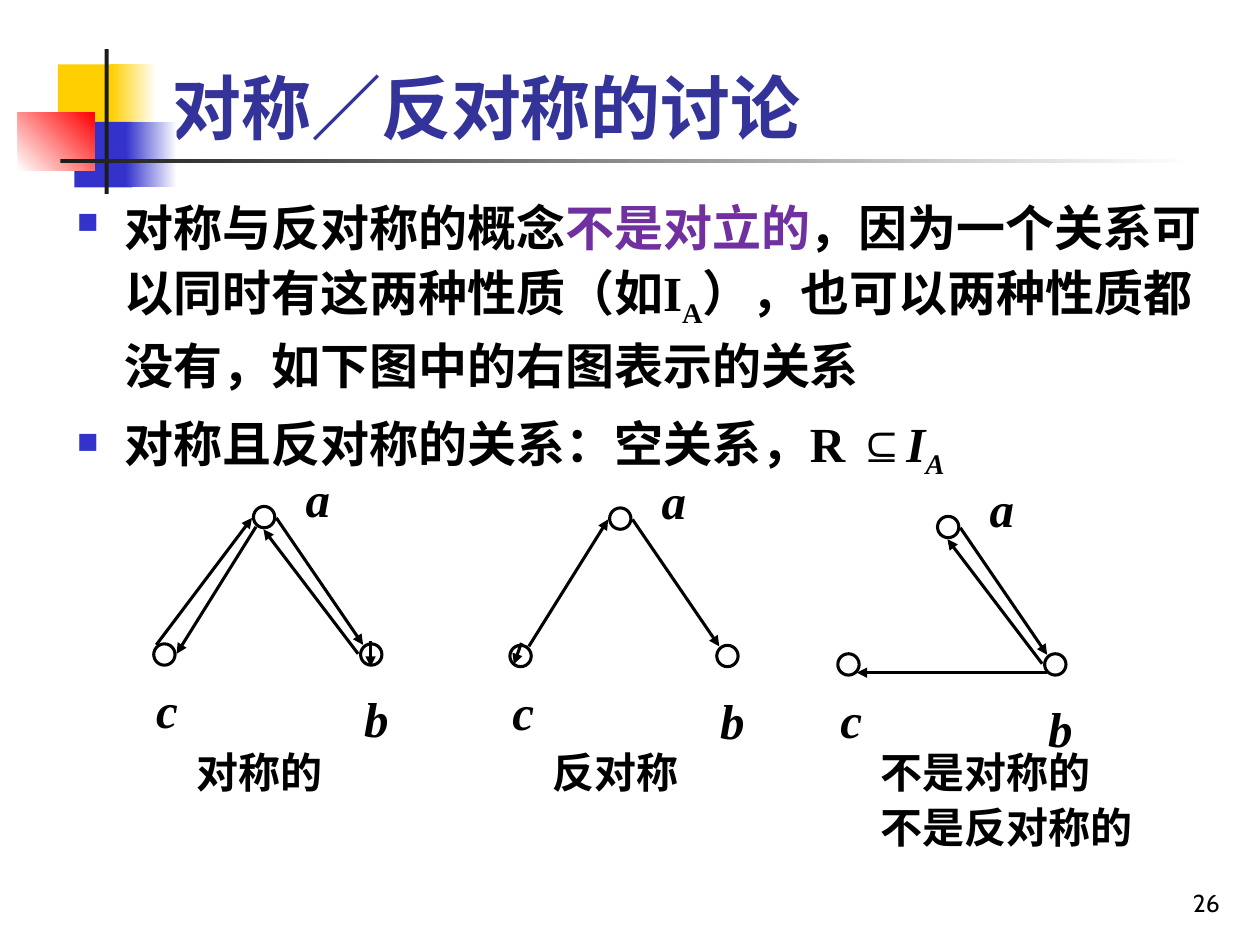
import pptx
import pptx.dml.color
import pptx.enum.shapes
import pptx.enum.text
import pptx.oxml.ns
import pptx.util
from lxml import etree
from pptx.util import Cm, Pt

COLORS = {
    "black": "000000", "white": "FFFFFF", "yellow": "FFCF01", "blue": "3333CC",
    "red": "FF0000", "dark": "1C1C1C", "title": "333399", "purple": "7030A0",
}
SERIF = "Times New Roman"

# left, top, width, height in cm; colours (two make a gradient); gradient angle
DECORATION = [
    ((1.17, 1.3, 1.22, 1.32), ["yellow"], 0),
    ((2.24, 1.3, 0.91, 1.32), ["yellow", "white"], 0),
    ((1.5, 2.46, 1.17, 1.32), ["blue"], 0),
    ((2.54, 2.46, 1.02, 1.32), ["blue", "white"], 0),
    ((0.36, 2.26, 1.55, 1.17), ["white", "red"], 45),
    ((2.11, 0.99, 0.08, 2.92), ["dark"], 0),
    ((1.22, 3.2, 22.86, 0.08), ["dark", "white"], 0),
]
TITLE = "对称／反对称的讨论"
BULLETS = [
    [("对称与反对称的概念", {}), ("不是对立的", {"color": "purple"}),
     ("，因为一个关系可以同时有这两种性质（如I", {}), ("A", {"subscript": True}),
     ("），也可以两种性质都没有，如下图中的右图表示的关系", {})],
    [("对称且反对称的关系：空关系，R ⊆", {}), ("I", {"italic": True}),
     ("A", {"italic": True, "subscript": True})],
]
PAGE_NUMBER = "26"

# Graph parts are placed in cm from the top left of node a
NODE_SIZE = 0.43
NODES = {"a": (0, 0), "c": (-2.01, 2.77), "b": (2.16, 2.77)}
LABELS = {"a": (0.8, -1), "c": (-2.21, 3.25), "b": (1.98, 3.43)}
A_TO_B = ((0.46, 0.23), (2.21, 2.79))
B_TO_A = ((2.11, 2.97), (0.2, 0.46))
A_TO_C = ((0.05, 0.41), (-1.55, 2.97))
B_TO_C = ((2.21, 3.15), (-1.63, 3.15))
LOOP_B = ((2.36, 2.72), (2.36, 3.23))
LOOP_C = ((-1.78, 2.72), (-1.93, 3.15))
C_TO_A_OUTER = ((-1.96, 2.79), (-0.03, 0.23))
C_TO_A_INNER = ((-1.63, 2.79), (-0.03, 0.23))
CAPTION_SHIFT, CAPTION_TOP = -1.4, 14.82
GRAPHS = [
    {"origin": (5.11, 10.21), "captions": ["对称的"],
     "edges": [A_TO_B, B_TO_A, LOOP_B, C_TO_A_OUTER, A_TO_C]},
    {"origin": (12.29, 10.24), "captions": ["反对称"],
     "edges": [A_TO_B, C_TO_A_INNER, LOOP_C]},
    {"origin": (18.9, 10.41), "captions": ["不是对称的", "不是反对称的"],
     "edges": [A_TO_B, B_TO_A, B_TO_C]},
]


def rgb(name):
    return pptx.dml.color.RGBColor.from_string(COLORS[name])


def add_element(parent, tag, **attributes):
    return etree.SubElement(parent, pptx.oxml.ns.qn(tag), attributes)


def format_run(run, size, color="black", bold=True, italic=False,
               subscript=False, font=SERIF):
    run.font.size = Pt(size)
    run.font.name = font
    run.font.bold = bold
    run.font.italic = italic
    run.font.color.rgb = rgb(color)
    if subscript:
        run.font._element.set("baseline", "-25000")


def add_text_box(slide, box, lines=(), line_spacing=1.1, **run_format):
    frame = slide.shapes.add_textbox(*map(Cm, box)).text_frame
    frame.word_wrap = True
    frame.text = "\n".join(lines)
    for paragraph in frame.paragraphs:
        paragraph.line_spacing = line_spacing
        for run in paragraph.runs:
            format_run(run, **run_format)
    return frame


def add_decoration(slide):
    for box, names, angle in DECORATION:
        shape = slide.shapes.add_shape(
            pptx.enum.shapes.MSO_SHAPE.RECTANGLE, *map(Cm, box))
        shape.shadow.inherit = False
        shape.line.fill.background()
        if len(names) == 1:
            shape.fill.solid()
            shape.fill.fore_color.rgb = rgb(names[0])
            continue
        shape.fill.gradient()
        shape.fill.gradient_angle = angle
        for position, (stop, name) in enumerate(zip(shape.fill.gradient_stops, names)):
            stop.position = position
            stop.color.rgb = rgb(name)


def add_title(slide):
    title = slide.shapes.title
    title.left, title.top, title.width, title.height = map(Cm, (3.2, 0.99, 21.64, 2.13))
    frame = title.text_frame
    frame.text = TITLE
    frame.auto_size = pptx.enum.text.MSO_AUTO_SIZE.NONE
    frame.vertical_anchor = pptx.enum.text.MSO_ANCHOR.BOTTOM
    paragraph = frame.paragraphs[0]
    paragraph.alignment = pptx.enum.text.PP_ALIGN.LEFT
    format_run(paragraph.runs[0], 40, "title")


def add_bullets(slide):
    frame = add_text_box(slide, (1.3, 3.73, 23.19, 13))
    for index, parts in enumerate(BULLETS):
        paragraph = frame.add_paragraph() if index else frame.paragraphs[0]
        paragraph.line_spacing = 1.1
        if index:
            paragraph.space_before = Pt(7)
        properties = paragraph._p.get_or_add_pPr()
        properties.set("marL", str(Cm(0.97)))
        properties.set("indent", str(-Cm(0.97)))
        bullet_color = add_element(properties, "a:buClr")
        add_element(bullet_color, "a:srgbClr", val=COLORS["blue"])
        add_element(properties, "a:buSzPct", val="60000")
        add_element(properties, "a:buChar", char="■")
        for text, run_format in parts:
            run = paragraph.add_run()
            run.text = text
            format_run(run, 28, **run_format)


def add_arrow(slide, start, end):
    arrow = slide.shapes.add_connector(
        pptx.enum.shapes.MSO_CONNECTOR.STRAIGHT, *map(Cm, (*start, *end)))
    arrow.line.color.rgb = rgb("black")
    arrow.line.width = Pt(1.75)
    add_element(arrow.line._get_or_add_ln(), "a:tailEnd", type="triangle")
    add_element(arrow._element.spPr, "a:effectLst")


def add_graph(slide, origin, edges, captions):
    def place(point):
        return origin[0] + point[0], origin[1] + point[1]

    for point in NODES.values():
        node = slide.shapes.add_shape(
            pptx.enum.shapes.MSO_SHAPE.OVAL,
            *map(Cm, (*place(point), NODE_SIZE, NODE_SIZE)))
        node.shadow.inherit = False
        node.fill.background()
        node.line.color.rgb = rgb("black")
        node.line.width = Pt(1.75)
    for name, point in LABELS.items():
        add_text_box(slide, (*place(point), 1.19, 1.57), [name], size=28, italic=True)
    for start, end in edges:
        add_arrow(slide, place(start), place(end))
    add_text_box(slide, (origin[0] + CAPTION_SHIFT, CAPTION_TOP, 6.5, 1.37 * len(captions)),
                 captions, size=24)


def add_page_number(slide):
    frame = add_text_box(slide, (19.56, 17.35, 5.28, 1.27), [PAGE_NUMBER],
                         line_spacing=1, size=14, bold=False, font="Cabin")
    frame.vertical_anchor = pptx.enum.text.MSO_ANCHOR.BOTTOM
    frame.paragraphs[0].alignment = pptx.enum.text.PP_ALIGN.RIGHT


def main():
    presentation = pptx.Presentation()
    presentation.slide_width, presentation.slide_height = Cm(25.4), Cm(19.05)
    slide = presentation.slides.add_slide(presentation.slide_layouts[5])
    add_decoration(slide)
    add_title(slide)
    add_bullets(slide)
    for graph in GRAPHS:
        add_graph(slide, **graph)
    add_page_number(slide)
    presentation.save("out.pptx")


if __name__ == "__main__":
    main()
